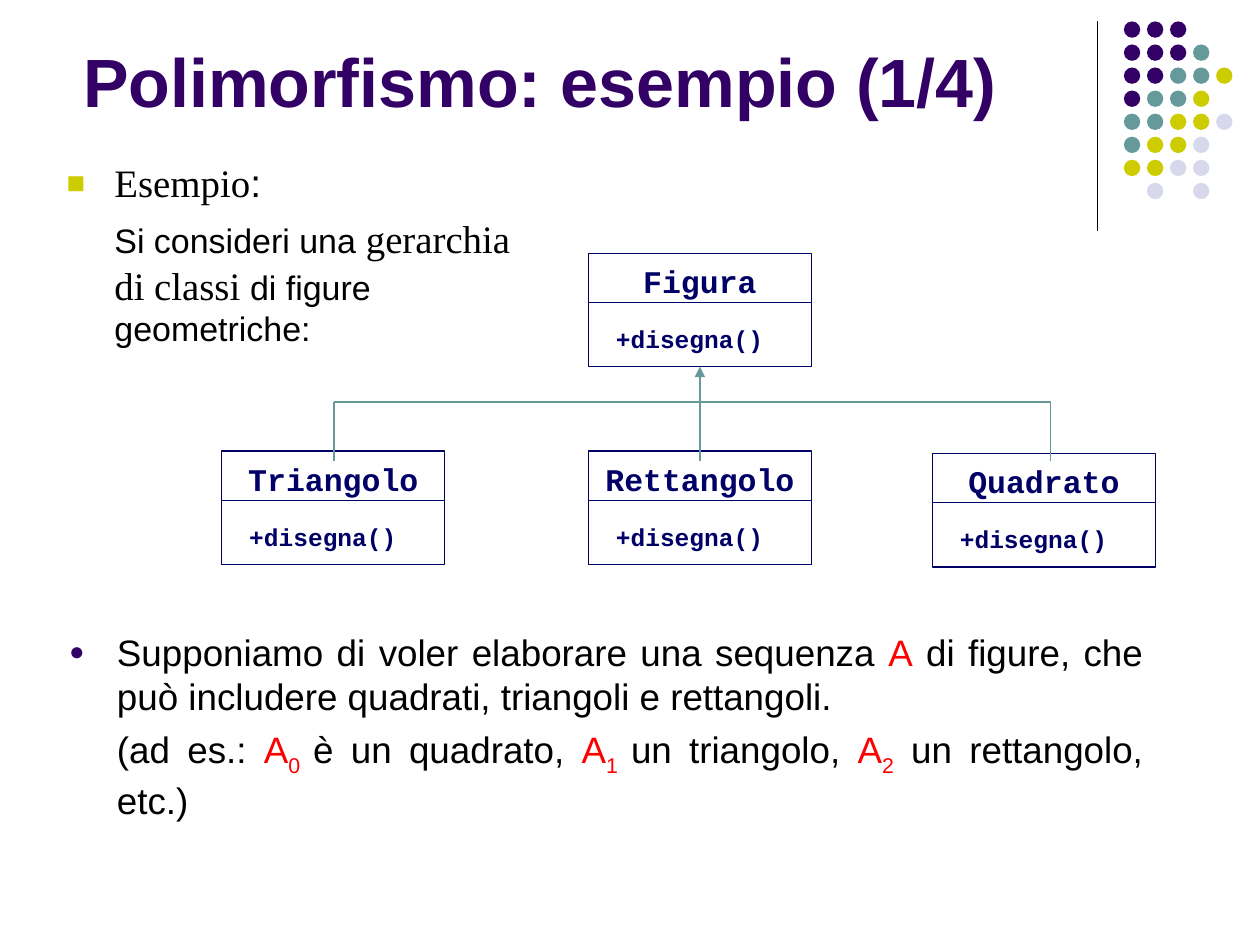
from lxml import etree
from pptx import Presentation
from pptx.dml.color import RGBColor
from pptx.enum.shapes import MSO_CONNECTOR, MSO_SHAPE
from pptx.enum.text import MSO_ANCHOR, PP_ALIGN
from pptx.oxml.ns import qn
from pptx.util import Inches, Pt

STRAIGHT = MSO_CONNECTOR.STRAIGHT
RECT, OVAL = MSO_SHAPE.RECTANGLE, MSO_SHAPE.OVAL
LEFT, CENTER, JUSTIFY = PP_ALIGN.LEFT, PP_ALIGN.CENTER, PP_ALIGN.JUSTIFY
BOTTOM = MSO_ANCHOR.BOTTOM

PURPLE, TEAL, OLIVE, PALE = "330066", "669999", "CCCC00", "D8D8EC"
NAVY, BLACK, RED = "000066", "000000", "FF0000"
SANS, SERIF, MONO = "Arial", "Times New Roman", "Courier New"

DOTS = ["PPP", "PPPT", "PPTTO", "PTTO", "TTOOL", "TOOL", "OOLL", " L L"]
TINTS = {"P": PURPLE, "T": TEAL, "O": OLIVE, "L": PALE}
BOX_W, HEAD_H, BODY_H = 1.77, 0.39, 0.51


def rgb(value):
    return RGBColor.from_string(value)


def style(font, size=None, name=None, color=None, bold=None):
    if size:
        font.size = Pt(size)
    if name:
        font.name = name
    if color:
        font.color.rgb = rgb(color)
    if bold is not None:
        font.bold = bold


def add_line(slide, start, end, color):
    line = slide.shapes.add_connector(
        STRAIGHT, *(Inches(v) for v in (*start, *end)))
    line.line.color.rgb = rgb(color)
    line.line.width = Pt(0.75)
    etree.SubElement(line._element.spPr, qn("a:effectLst"))
    return line


def add_shape(slide, kind, box, fill=None, edge=None):
    shape = slide.shapes.add_shape(kind, *(Inches(v) for v in box))
    shape.shadow.inherit = False
    if fill:
        shape.fill.solid()
        shape.fill.fore_color.rgb = rgb(fill)
    else:
        shape.fill.background()
    if edge:
        shape.line.color.rgb = rgb(edge)
        shape.line.width = Pt(0.75)
    else:
        shape.line.fill.background()
    return shape


def add_text(slide, box, wrap=True):
    frame = slide.shapes.add_textbox(*(Inches(v) for v in box)).text_frame
    frame.word_wrap = wrap
    return frame


def hang(para, mark=None, color=None, scale=None):
    """Indent a paragraph, with a hanging bullet if a mark is given."""
    props = para._p.get_or_add_pPr()
    props.set("marL", str(Inches(0.38)))
    props.set("indent", str(Inches(-0.38) if mark else 0))
    if mark:
        tint = etree.SubElement(props, qn("a:buClr"))
        etree.SubElement(tint, qn("a:srgbClr"), val=color)
        etree.SubElement(props, qn("a:buSzPct"), val=str(scale * 1000))
        etree.SubElement(props, qn("a:buFont"), typeface=SANS)
        etree.SubElement(props, qn("a:buChar"), char=mark)
    else:
        etree.SubElement(props, qn("a:buNone"))


def add_runs(para, parts):
    """Add (text, font options, baseline) parts to a paragraph."""
    for text, look, base in parts:
        run = para.add_run()
        run.text = text
        style(run.font, **look)
        if base:
            run.font._element.set("baseline", str(base * 1000))


def add_title(slide, box, text):
    title = slide.shapes.title
    title.left, title.top, title.width, title.height = map(Inches, box)
    frame = title.text_frame
    frame.text = text
    frame.vertical_anchor = BOTTOM
    para = frame.paragraphs[0]
    para.alignment = LEFT
    style(para.font, 39, SANS, PURPLE, True)


def add_dots(slide, left, top, step=0.183, size=0.13):
    for row, marks in enumerate(DOTS):
        for col, mark in enumerate(marks):
            if mark in TINTS:
                box = (left + col * step, top + row * step, size, size)
                add_shape(slide, OVAL, box, TINTS[mark])


def add_intro(slide, box):
    frame = add_text(slide, box)
    head, body = frame.paragraphs[0], frame.add_paragraph()
    hang(head, "■", OLIVE, 80)
    head.alignment = JUSTIFY
    head.line_spacing = 0.9
    style(head.font, 22.2, color=BLACK)
    add_runs(head, [("Esempio", {"name": SERIF}, 0), (":", {"name": SANS}, 0)])
    hang(body)
    body.space_before = Pt(5.2)
    style(body.font, color=BLACK)
    plain = {"size": 19.4, "name": SANS}
    add_runs(body, [("Si consideri una ", plain, 0),
                    ("gerarchia di classi", {"size": 22.2, "name": SERIF}, 0),
                    (" di figure geometriche:", plain, 0)])


def add_notes(slide, box):
    """Place the paragraphs on the sequence A."""
    frame = add_text(slide, box)
    first, second = frame.paragraphs[0], frame.add_paragraph()
    hang(first, "●", PURPLE, 70)
    hang(second)
    second.space_before = Pt(5.2)
    for para in (first, second):
        para.alignment = JUSTIFY
        style(para.font, 21, SANS)
    black, red = {"color": BLACK}, {"color": RED}
    add_runs(first, [
        ("Supponiamo di voler elaborare una sequenza ", black, 0),
        ("A", red, 0),
        (" di figure, che può includere quadrati, triangoli e rettangoli.",
         black, 0)])
    parts = [("(ad es.: ", black, 0)]
    for index, rest in (("0 ", "è un quadrato, "), ("1 ", "un triangolo, "),
                        ("2", " un rettangolo, etc.)")):
        parts += [("A", red, 0), (index, red, -25), (rest, black, 0)]
    add_runs(second, parts)


def add_class(slide, left, top, name):
    """Draw a class box and return its lower part."""
    add_shape(slide, RECT, (left, top, BOX_W, HEAD_H), edge=NAVY)
    body = add_shape(slide, RECT, (left, top + HEAD_H, BOX_W, BODY_H),
                     edge=NAVY)
    wide = 0.15 * len(name) + 0.2
    labels = [
        (name, (left + (BOX_W - wide) / 2, top + 0.02, wide, 0.4), 18, CENTER),
        ("+disegna()", (left + 0.12, top + 0.51, 1.37, 0.34), 14, LEFT)]
    for text, box, size, align in labels:
        para = add_text(slide, box, wrap=False).paragraphs[0]
        para.text = text
        para.alignment = align
        style(para.font, size, MONO, NAVY, True)
    return body


def add_tree(slide, left, top):
    """Draw the class hierarchy from its left edge and top."""
    for shift, drop, name in ((0, 1.57, "Triangolo"), (2.91, 1.57, "Rettangolo"),
                              (5.64, 1.59, "Quadrato")):
        add_class(slide, left + shift, top + drop, name)
    parent = add_class(slide, left + 2.91, top, "Figura")
    bar, foot = top + 1.18, top + 1.65
    west, mid, east = left + 0.89, left + 2.91 + BOX_W / 2, left + 6.58
    stem = add_line(slide, (mid, foot), (mid, top + HEAD_H + BODY_H), TEAL)
    stem.end_connect(parent, 2)
    etree.SubElement(stem.line._get_or_add_ln(), qn("a:tailEnd"),
                     type="triangle")
    for x in (west, east):
        add_line(slide, (x, foot), (x, bar), TEAL)
    add_line(slide, (west, bar), (east, bar), TEAL)


def main():
    deck = Presentation()
    deck.slide_width, deck.slide_height = Inches(10), Inches(7.5)
    slide = deck.slides.add_slide(deck.slide_layouts[5])
    add_line(slide, (8.71, 0.17), (8.71, 1.83), BLACK)
    add_dots(slide, 8.92, 0.17)
    add_title(slide, (0.56, 0.19, 8.5, 0.82), "Polimorfismo: esempio (1/4)")
    add_notes(slide, (0.45, 4.95, 8.72, 2.6))
    add_tree(slide, 1.76, 2.01)
    add_intro(slide, (0.43, 1.25, 3.97, 2))
    deck.save("out.pptx")


if __name__ == "__main__":
    main()
